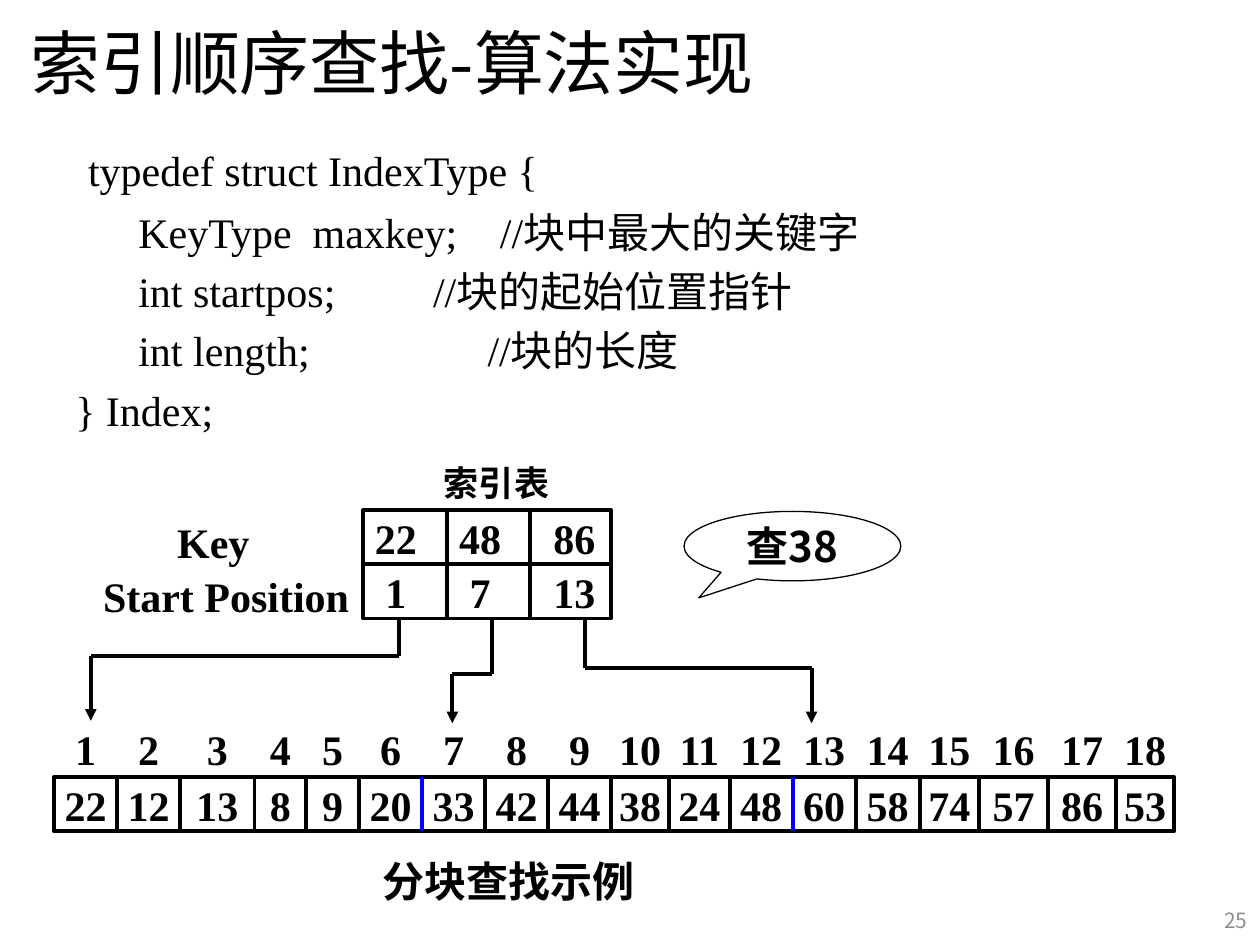
"""Build a slide explaining the index structure of blocked search."""
from itertools import pairwise

from lxml import etree
from pptx import Presentation
from pptx.dml.color import RGBColor
from pptx.enum.shapes import MSO_CONNECTOR, MSO_SHAPE
from pptx.enum.text import MSO_ANCHOR, PP_ALIGN
from pptx.oxml.ns import qn
from pptx.util import Cm, Pt

BLACK = RGBColor(0, 0, 0)
BLUE = RGBColor(0, 0, 255)
GRAY = RGBColor(0x8C, 0x8C, 0x8C)
LATIN, CHINESE, TITLE_FONT = "Times New Roman", "Noto Sans CJK SC", "Noto Sans CJK JP"
LEFT, CENTER, RIGHT = PP_ALIGN.LEFT, PP_ALIGN.CENTER, PP_ALIGN.RIGHT
MIDDLE = MSO_ANCHOR.MIDDLE
RECTANGLE, CALLOUT = MSO_SHAPE.RECTANGLE, MSO_SHAPE.OVAL_CALLOUT
STRAIGHT = MSO_CONNECTOR.STRAIGHT

ROW_HEIGHT = 1.09
BLOCK_EDGES = [1.09, 2.36, 3.63, 5.13, 6.17, 7.24, 8.51, 9.78, 11.05, 12.32,
               13.49, 14.71, 15.98, 17.25, 18.54, 19.74, 21.13, 22.5, 23.67]
BLOCK_STARTS = (8.51, 15.98)
BLOCK_CENTERS = [(start + end) / 2 for start, end in pairwise(BLOCK_EDGES)]
BLOCK_VALUES = [22, 12, 13, 8, 9, 20, 33, 42, 44, 38, 24, 48, 60, 58, 74, 57, 86, 53]
INDEX_EDGES = [7.32, 9.02, 10.69, 12.32]
INDEX_CENTERS = [7.98, 9.68, 11.58]
INDEX_ROWS = [(10.29, [22, 48, 86]), (11.38, [1, 7, 13])]
POINTERS = [
    [(8.05, 12.5), (8.05, 13.23), (1.83, 13.23), (1.83, 14.53)],
    [(9.91, 12.5), (9.91, 13.59), (9.12, 13.59), (9.12, 14.58)],
    [(11.79, 12.5), (11.79, 13.46), (16.36, 13.46), (16.36, 14.58)],
]
FIELDS = [
    ("KeyType  maxkey;", "//块中最大的关键字", 8.56),
    ("int startpos;", "//块的起始位置指针", 7.21),
    ("int length;", "//块的长度", 8.31),
]
LABELS = [
    ("索引表", (8.69, 9.19, 2.64, 1.09), CENTER, 20, CHINESE),
    ("Key", (3.3, 10.29, 1.98, 1.27), RIGHT, 24, LATIN),
    ("Start Position", (1.78, 11.38, 5.51, 1.27), RIGHT, 24, LATIN),
    ("分块查找示例", (6.45, 17.2, 7.59, 1.12), CENTER, 24, CHINESE),
]


class SlideBuilder:
    """Hold the current slide and draw its elements in one style."""

    def __init__(self, slide):
        self.shapes = slide.shapes

    def run(self, paragraph, text, size=24, font=LATIN, color=BLACK, bold=False):
        run = paragraph.add_run()
        run.text = text
        run.font.size = Pt(size)
        run.font.bold = bold
        run.font.color.rgb = color
        run.font.name = font
        east_asian = CHINESE if font == LATIN else font
        etree.SubElement(run.font._element, qn("a:ea"), typeface=east_asian)

    def tabs(self, paragraph, stops, alignment):
        tab_list = etree.SubElement(paragraph._p.get_or_add_pPr(), qn("a:tabLst"))
        for stop in stops:
            etree.SubElement(tab_list, qn("a:tab"), pos=str(Cm(stop)), algn=alignment)

    def text(self, text, box, alignment=LEFT, wrap=False, **style):
        frame = self.shapes.add_textbox(*map(Cm, box)).text_frame
        frame.word_wrap = wrap
        frame.vertical_anchor = MIDDLE
        frame.paragraphs[0].alignment = alignment
        self.run(frame.paragraphs[0], text, **style)

    def code(self, box):
        frame = self.shapes.add_textbox(*map(Cm, box)).text_frame
        frame.word_wrap = True
        opening = frame.paragraphs[0]
        self.run(opening, " ", size=32, font="Calibri")
        self.run(opening, "typedef struct IndexType {")
        for declaration, comment, stop in FIELDS:
            paragraph = self.code_line(frame)
            self.tabs(paragraph, (1.27, stop), "l")
            self.run(paragraph, f"\t{declaration}\t")
            self.run(paragraph, comment)
        self.run(self.code_line(frame), "} Index;")

    def code_line(self, frame):
        paragraph = frame.add_paragraph()
        paragraph.line_spacing = Pt(29)
        paragraph.space_before = Pt(4.8)
        return paragraph

    def outline(self, kind, box, width):
        shape = self.shapes.add_shape(kind, *map(Cm, box))
        shape.shadow.inherit = False
        shape.fill.background()
        shape.line.color.rgb = BLACK
        shape.line.width = Pt(width)
        shape.text_frame.vertical_anchor = MIDDLE
        return shape

    def numbers(self, frame, left, centers, values):
        frame.margin_left = frame.margin_right = 0
        frame.word_wrap = True
        frame.vertical_anchor = MIDDLE
        paragraph = frame.paragraphs[0]
        paragraph.alignment = LEFT
        self.tabs(paragraph, [center - left for center in centers], "ctr")
        for value in values:
            self.run(paragraph, f"\t{value}", bold=True)

    def number_labels(self, top, centers, values):
        left = BLOCK_EDGES[0]
        width = BLOCK_EDGES[-1] - left
        shape = self.shapes.add_textbox(Cm(left), Cm(top), Cm(width), Cm(1.27))
        self.numbers(shape.text_frame, left, centers, values)

    def cells(self, top, edges, centers, values):
        left, *dividers, right = edges
        shape = self.outline(RECTANGLE, (left, top, right - left, ROW_HEIGHT), 2.25)
        self.numbers(shape.text_frame, left, centers, values)
        for divider in dividers:
            color = BLUE if divider in BLOCK_STARTS else BLACK
            self.line((divider, top), (divider, top + ROW_HEIGHT), color)

    def line(self, start, end, color=BLACK, arrow=False):
        connector = self.shapes.add_connector(STRAIGHT, *map(Cm, start + end))
        connector.line.color.rgb = color
        connector.line.width = Pt(2.25)
        if arrow:
            etree.SubElement(connector.line._get_or_add_ln(), qn("a:tailEnd"), type="triangle")
        etree.SubElement(connector._element.spPr, qn("a:effectLst"))

    def pointer(self, points):
        for start, end in pairwise(points):
            self.line(start, end, arrow=end == points[-1])

    def callout(self, text, box):
        shape = self.outline(CALLOUT, box, 0.75)
        shape.adjustments[0] = -0.432
        shape.adjustments[1] = 0.745
        shape.text_frame.word_wrap = False
        paragraph = shape.text_frame.paragraphs[0]
        paragraph.alignment = CENTER
        self.run(paragraph, text, font=CHINESE, bold=True)


def main():
    presentation = Presentation()
    presentation.slide_width = Cm(25.4)
    presentation.slide_height = Cm(19.05)
    builder = SlideBuilder(presentation.slides.add_slide(presentation.slide_layouts[6]))

    builder.text("索引顺序查找-算法实现", (0.36, -0.05, 22.86, 2.59),
                 wrap=True, size=40, font=TITLE_FONT)
    builder.code((1.27, 2.51, 22.86, 16.21))
    builder.text("25", (24.31, 18.03, 1.09, 1.02), RIGHT, wrap=True,
                 size=12, font=CHINESE, color=GRAY)
    builder.number_labels(14.45, BLOCK_CENTERS, range(1, len(BLOCK_VALUES) + 1))
    builder.cells(15.67, BLOCK_EDGES, BLOCK_CENTERS, BLOCK_VALUES)
    for points in POINTERS:
        builder.pointer(points)
    builder.callout("查38", (13.79, 10.31, 4.37, 1.4))
    for top, values in INDEX_ROWS:
        builder.cells(top, INDEX_EDGES, INDEX_CENTERS, values)
    for text, box, alignment, size, font in LABELS:
        builder.text(text, box, alignment, size=size, font=font, bold=True)

    presentation.save("out.pptx")


if __name__ == "__main__":
    main()
